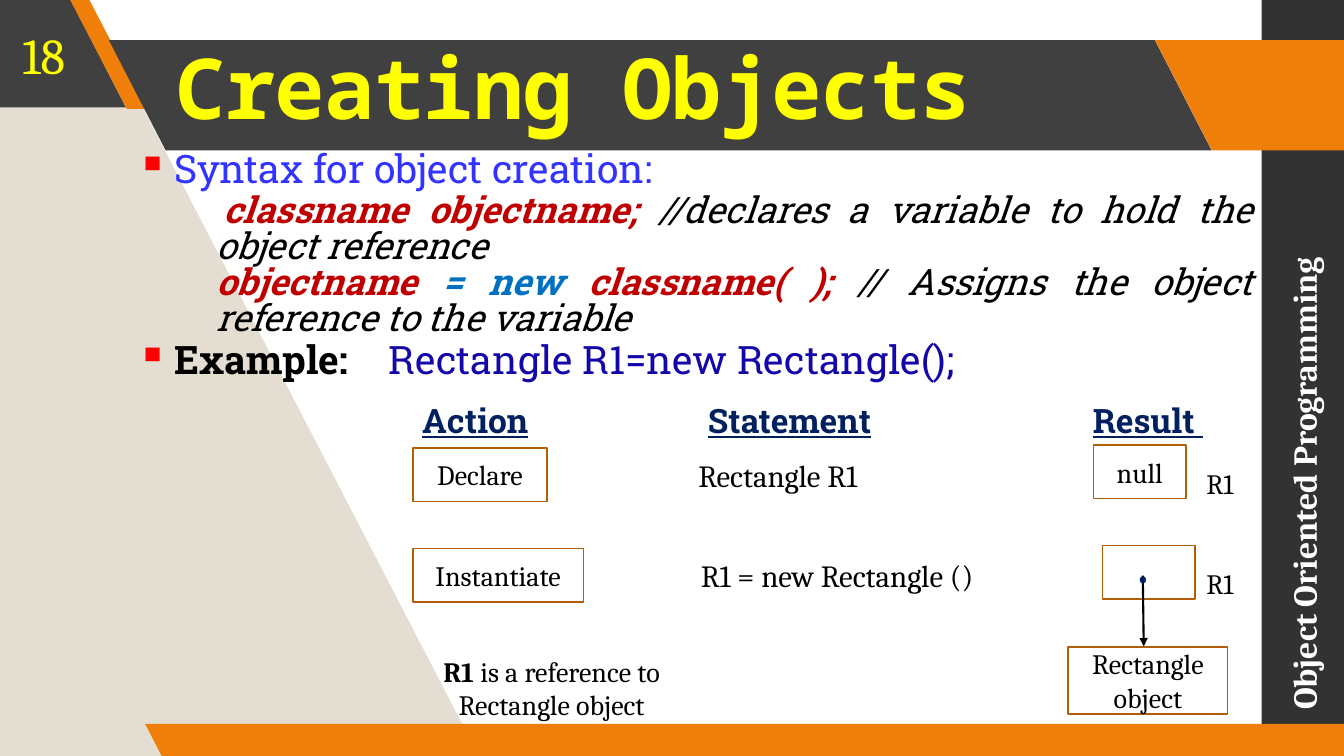
from lxml import etree
from pptx import Presentation
from pptx.dml.color import RGBColor
from pptx.enum.shapes import MSO_CONNECTOR as CONN, MSO_SHAPE as SHAPE
from pptx.enum.text import MSO_ANCHOR as ANCHOR, PP_ALIGN as ALIGN
from pptx.oxml.ns import qn
from pptx.util import Pt

COLORS = {
    "dark": "404040", "side": "323232", "orange": "F07F09", "sand": "E3DED1",
    "yellow": "FFFF00", "white": "FFFFFF", "black": "000000", "red": "FF0000",
    "crimson": "C00000", "blue": "3333FF", "sky": "0070C0", "indigo": "1307A9",
    "navy": "002060", "border": "B25E07",
}
SERIF, SLAB, MONO = "Cambria", "Roboto Slab", "Noto Sans Mono"


def rgb(name):
    return RGBColor.from_string(COLORS[name])


def add_run(p, text, size=20, font=SERIF, color="black", bold=False,
            italic=False, underline=False, spacing=None):
    r = p.add_run()
    r.text = text
    f = r.font
    f.size, f.name, f.bold, f.italic, f.underline = Pt(size), font, bold, italic, underline
    f.color.rgb = rgb(color)
    if spacing is not None:
        r._r.get_or_add_rPr().set("spc", str(spacing))
    return r


def set_frame(sp, anchor=ANCHOR.MIDDLE, inset=None):
    tf = sp.text_frame
    tf.word_wrap = True
    tf.vertical_anchor = anchor
    if inset is not None:
        tf.margin_left = tf.margin_right = tf.margin_top = tf.margin_bottom = Pt(inset)
    return tf


def add_text(slide, x, y, w, h, runs, align=ALIGN.CENTER, anchor=ANCHOR.MIDDLE,
             inset=None, border=False):
    box = tuple(map(Pt, (x, y, w, h)))
    if border:
        sp = slide.shapes.add_shape(SHAPE.RECTANGLE, *box)
        sp.shadow.inherit = False
        sp.fill.background()
        sp.line.color.rgb = rgb("border")
        sp.line.width = Pt(1.1)
    else:
        sp = slide.shapes.add_textbox(*box)
    p = set_frame(sp, anchor, inset).paragraphs[0]
    p.alignment = align
    for text, fmt in runs:
        add_run(p, text, **fmt)
    return sp


def paint(sp, color):
    sp.shadow.inherit = False
    sp.fill.solid()
    sp.fill.fore_color.rgb = rgb(color)
    sp.line.fill.background()


def add_slant(slide, x, y, w, h, color, slope=0.515):
    sp = slide.shapes.add_shape(SHAPE.PARALLELOGRAM, Pt(x), Pt(y), Pt(w), Pt(h))
    sp.adjustments[0] = slope
    sp.element.spPr.find(qn("a:xfrm")).set("flipH", "1")
    paint(sp, color)


def draw_backdrop(slide, x, y, w, h):
    side = slide.shapes.add_shape(SHAPE.RECTANGLE, Pt(x + w - 58.8), Pt(y), Pt(60), Pt(h))
    paint(side, "side")
    fb = slide.shapes.build_freeform(x + 342, y + h, scale=12700)
    fb.add_line_segments([(x + 60, y - 4), (x - 6, y - 4), (x - 2, y + h + 3)])
    paint(fb.convert_to_shape(), "sand")
    add_slant(slide, x - 95, y - 2, 185, 78.8, "dark")
    add_slant(slide, x + 49.7, y - 1, 54.7, 78.8, "orange", 0.75)
    add_slant(slide, x + 77.8, y + 28.7, 787.7, 78.8, "dark")
    add_slant(slide, x + 825.1, y + 28.7, 185, 78.8, "orange")
    add_slant(slide, x + 103.7, y + 517, 878.4, 23.8, "orange")


def draw_titles(slide, x, y):
    add_text(slide, x + 115.9, y + 28.8, 794.9, 78.5, [
        ("Creating Objects", dict(size=60, font=MONO, color="yellow", bold=True, spacing=-50)),
    ], align=ALIGN.LEFT, inset=9.4).text_frame.paragraphs[0].line_spacing = 0.8
    add_text(slide, x + 733, y + 301.7, 396, 28.8, [
        ("Object Oriented Programming", dict(size=24, color="white", bold=True)),
    ], align=ALIGN.LEFT).rotation = 270
    add_text(slide, x, y, 62.6, 77, [("18", dict(size=36, color="yellow"))], inset=7.2)


def set_indent(p, left, first, bullet=False):
    pPr = p._p.get_or_add_pPr()
    pPr.set("marL", str(Pt(left)))
    pPr.set("indent", str(Pt(first)))
    if bullet:
        clr = etree.SubElement(pPr, qn("a:buClr"))
        etree.SubElement(clr, qn("a:srgbClr")).set("val", COLORS["red"])
        etree.SubElement(pPr, qn("a:buSzPct")).set("val", "108000")
        etree.SubElement(pPr, qn("a:buChar")).set("char", "▪")


def draw_syntax(slide, x, y, w, h):
    code = dict(size=26, color="crimson", bold=True, italic=True)
    note = dict(size=26, italic=True)
    head = dict(size=28)
    paragraphs = [
        (True, 0, 0, [("Syntax for object creation: ", head | dict(color="blue"))]),
        (False, 5, 2.5, [
            ("classname objectname; ", code),
            ("//declares a variable to hold the object reference", note)]),
        (False, 0, 0, [
            ("objectname", code), (" = new ", code | dict(color="sky")),
            ("classname( ); ", code),
            ("// Assigns the object reference to the variable", note)]),
        (True, 0, 4, [
            ("Example: \t", head | dict(bold=True)),
            ("Rectangle R1=new Rectangle();", head | dict(color="indigo"))]),
    ]
    sp = slide.shapes.add_textbox(Pt(x), Pt(y), Pt(w), Pt(h))
    tf = set_frame(sp, ANCHOR.TOP)
    for i, (bullet, first, before, runs) in enumerate(paragraphs):
        p = tf.add_paragraph() if i else tf.paragraphs[0]
        if bullet:
            set_indent(p, 26.6, -26.6, True)
        else:
            set_indent(p, 56.9, first)
        p.alignment = ALIGN.JUSTIFY
        p.line_spacing = 0.82
        if i:
            p.space_before = Pt(before)
        for text, fmt in runs:
            add_run(p, text, font=SLAB, **fmt)


def add_arrow(slide, x1, y1, x2, y2):
    cn = slide.shapes.add_connector(CONN.STRAIGHT, Pt(x1), Pt(y1), Pt(x2), Pt(y2))
    cn.line.color.rgb = rgb("black")
    cn.line.width = Pt(1.5)
    etree.SubElement(cn.line._get_or_add_ln(), qn("a:tailEnd")).set("type", "triangle")
    etree.SubElement(cn.element.spPr, qn("a:effectLst"))


def draw_steps(slide, x, y):
    label = dict(size=24, font=SLAB, color="navy", bold=True, underline=True)
    for dx, text in ((0, "Action"), (204, "Statement"), (479, "Result ")):
        add_text(slide, x + dx, y, 150, 36, [(text, label)],
                 align=ALIGN.LEFT, anchor=ANCHOR.TOP)

    steps = [
        ("Declare", 95.8, "Rectangle R1", 185.5, 151.2, "null", 486.5, 35.8),
        ("Instantiate", 121.7, "R1 = new Rectangle ()", 183.5, 239.8, "", 493, 107.5),
    ]
    for action, aw, code, cx, cw, value, vx, top in steps:
        row = y + top
        add_text(slide, x + 0.5, row + 2, aw, 38.2, [(action, {})], border=True)
        add_text(slide, x + cx, row + 2, cw, 38.2, [(code, dict(size=22))])
        add_text(slide, x + vx, row, 66.2, 38.2, [(value, {})] if value else [], border=True)
        add_text(slide, x + 556, row + 8, 41.8, 38.2, [("R1", {})])

    add_text(slide, x + 468.5, y + 179.8, 114, 48.2, [("Rectangle object", {})], border=True)
    add_text(slide, x + 1.2, y + 174, 196.6, 70, [
        ("R1", dict(bold=True)), (" is a reference to Rectangle object", {})])
    add_arrow(slide, x + 521.8, y + 129, x + 522.5, y + 179.5)
    add_text(slide, x + 509, y + 108.5, 26, 26,
             [(".", dict(size=32, color="navy", bold=True))])


def main():
    prs = Presentation()
    prs.slide_width, prs.slide_height = Pt(960), Pt(540)
    slide = prs.slides.add_slide(prs.slide_layouts[6])
    draw_backdrop(slide, 0, 0, 960, 540)
    draw_titles(slide, 0, 0)
    draw_syntax(slide, 90.7, 105.8, 811.4, 407.5)
    draw_steps(slide, 294.5, 282.2)
    prs.save("out.pptx")


if __name__ == "__main__":
    main()
